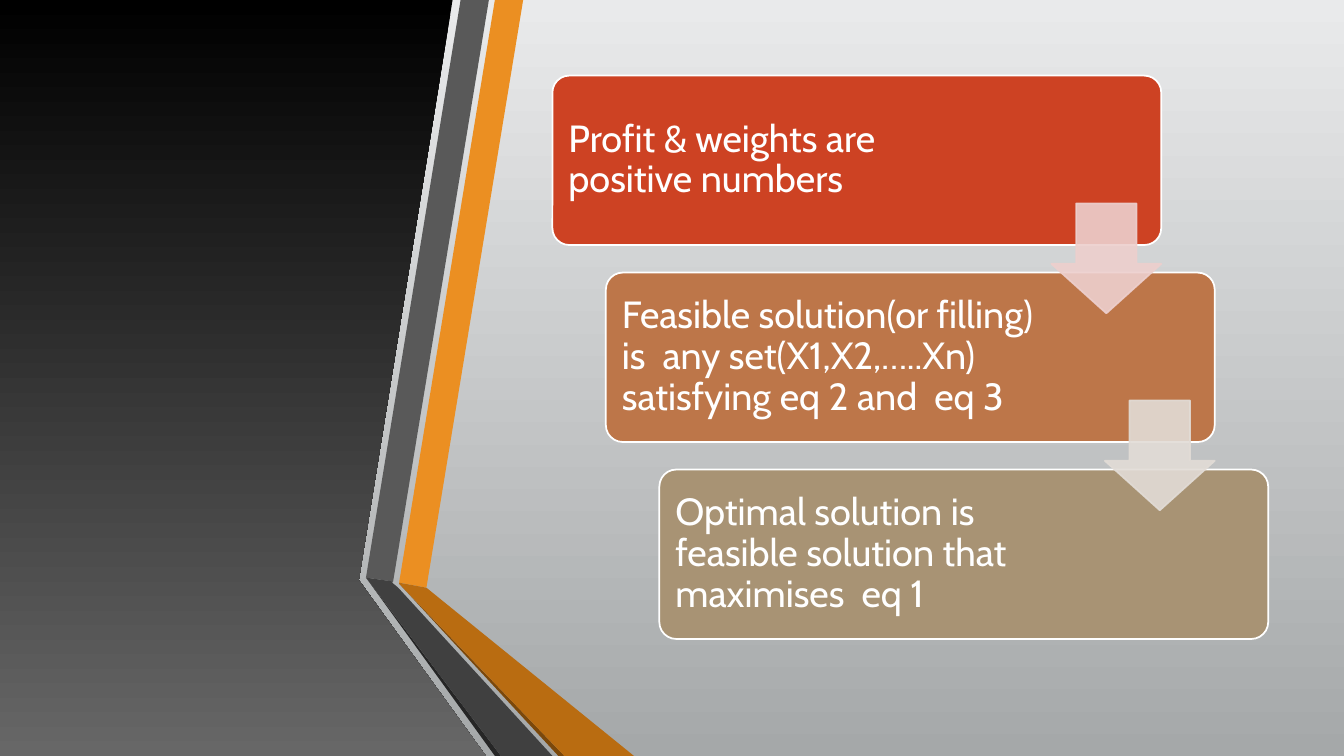
"""Build the slide of three cascading steps beside a dark folded panel."""
from lxml import etree
from pptx import Presentation
from pptx.dml.color import RGBColor
from pptx.enum import shapes, text
from pptx.oxml import ns
from pptx.util import Pt

COLORS = {
    "sky": "E9EAEB", "mist": "A5A8A9", "black": "000000", "ash": "676767",
    "orange": "EB8F22", "amber": "B96C11", "brown": "7B480B",
    "grey": "595959", "charcoal": "404040", "coal": "262626",
    "red": "CD4223", "copper": "BD7649", "sand": "A89374",
    "pink": "EDCFCD", "cream": "E2DCD6", "white": "FFFFFF",
}
RGB = {name: RGBColor.from_string(value) for name, value in COLORS.items()}


def fill_gradient(fill, top, bottom):
    fill.gradient()
    fill.gradient_angle = 270
    for stop, name in zip(fill.gradient_stops, (top, bottom)):
        stop.color.rgb = RGB[name]


def draw_outline(page, points):
    corners = [(Pt(x), Pt(y)) for x, y in points]
    builder = page.shapes.build_freeform(*corners[0], scale=1.0)
    builder.add_line_segments(corners[1:], close=True)
    outline = builder.convert_to_shape()
    outline.shadow.inherit = False
    outline.line.fill.background()
    return outline


deck = Presentation()
deck.slide_width, deck.slide_height = Pt(960), Pt(540)
page = deck.slides.add_slide(deck.slide_layouts[6])
fill_gradient(page.background.fill, "sky", "mist")

panel = draw_outline(page, [(0, 0), (323.3, 0), (256.3, 414.4), (347, 540), (0, 540)])
fill_gradient(panel.fill, "black", "ash")

ribbons = [
    ("orange", [(285.1, 416.2), (304.6, 419.8), (373.7, 0), (353.5, 0)]),
    ("grey", [(349.2, 0), (329, 0), (261.4, 412.6), (280.8, 415.4)]),
    ("coal", [(261.4, 412.6), (353.5, 540), (357.8, 540)]),
    ("brown", [(285.1, 416.9), (398.9, 540), (403.2, 540)]),
    ("amber", [(285.1, 416.2), (285.1, 416.9), (403.2, 540), (452.9, 540), (304.6, 419.8)]),
    ("charcoal", [(394.6, 540), (284.4, 419.8), (280.1, 416.2), (280.8, 415.4),
                  (261.4, 412.6), (357.8, 540)]),
]
for name, points in ribbons:
    ribbon = draw_outline(page, points)
    ribbon.fill.solid()
    ribbon.fill.fore_color.rgb = RGB[name]

LEFT, TOP, STEP_X, STEP_Y = 394.6, 54, 38.2, 140.7
steps = [
    ("red", "Profit & weights are positive numbers"),
    ("copper", "Feasible solution(or filling) is  any set(X1,X2,…..Xn) satisfying eq 2 and  eq 3"),
    ("sand", "Optimal solution is feasible solution that maximises  eq 1"),
]
for index, (name, wording) in enumerate(steps):
    box = page.shapes.add_shape(
        shapes.MSO_SHAPE.ROUNDED_RECTANGLE,
        Pt(LEFT + index * STEP_X), Pt(TOP + index * STEP_Y), Pt(434.9), Pt(121))
    box.adjustments[0] = 0.1
    box.shadow.inherit = False
    box.fill.solid()
    box.fill.fore_color.rgb = RGB[name]
    box.line.color.rgb = RGB["white"]
    box.line.width = Pt(1.25)
    frame = box.text_frame
    frame.word_wrap = True
    frame.vertical_anchor = text.MSO_ANCHOR.MIDDLE
    frame.margin_left, frame.margin_right = Pt(7.9), Pt(124)
    para = frame.paragraphs[0]
    para.text = wording
    para.alignment = text.PP_ALIGN.LEFT
    para.line_spacing = 0.9
    para.font.name = "Cabin"
    para.font.size = Pt(27)
    para.font.color.rgb = RGB["white"]

for index, name in enumerate(["pink", "cream"]):
    arrow = page.shapes.add_shape(
        shapes.MSO_SHAPE.DOWN_ARROW,
        Pt(LEFT + 356.4 + index * STEP_X), Pt(TOP + 91.3 + index * STEP_Y),
        Pt(78.5), Pt(78.5))
    arrow.adjustments[0], arrow.adjustments[1] = 0.55, 0.45
    arrow.shadow.inherit = False
    arrow.fill.solid()
    arrow.fill.fore_color.rgb = RGB[name]
    arrow.line.color.rgb = RGB[name]
    arrow.line.width = Pt(1.25)
    for color in arrow.element.spPr.iter(ns.qn("a:srgbClr")):
        etree.SubElement(color, ns.qn("a:alpha"), val="90000")

deck.save("out.pptx")
